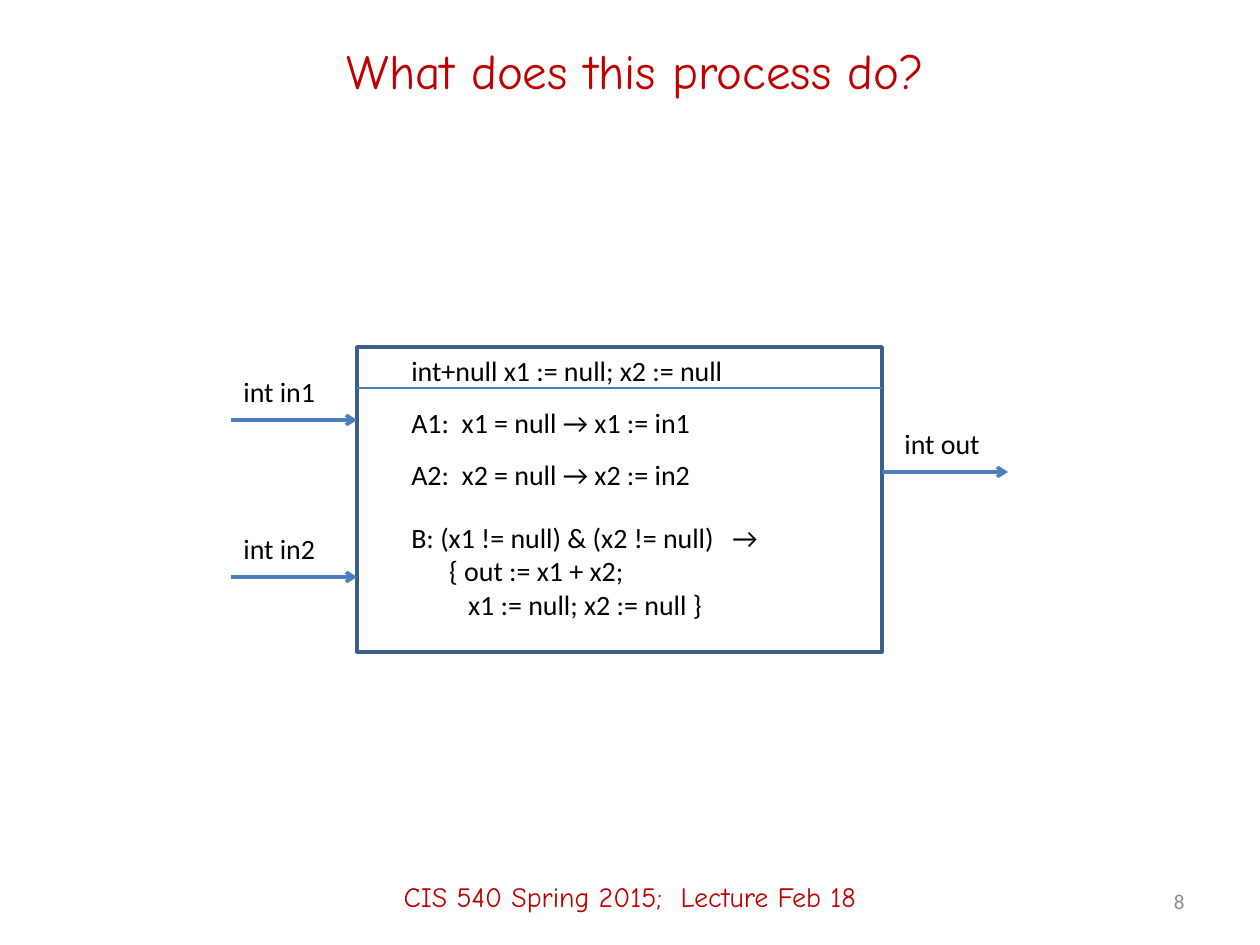
from pptx import Presentation, util as u
from pptx.dml.color import RGBColor
from pptx.enum import shapes, text
from pptx.oxml.ns import qn
from lxml import etree

RED = RGBColor(0xC0, 0x00, 0x00)
BLACK = RGBColor(0x00, 0x00, 0x00)
GREY = RGBColor(0x8C, 0x8C, 0x8C)
EDGE = RGBColor(0x3A, 0x5F, 0x8C)
BLUE = RGBColor(0x4B, 0x7E, 0xBC)

BODY = dict(name="Calibri", size=u.Pt(16))
TITLE = dict(name="Comic Neue", size=u.Pt(28))
FOOTER = dict(name="Comic Neue", size=u.Pt(16))
NUMBER = dict(name="Calibri", size=u.Pt(12))

BOX = dict(left=357, top=347, width=525, height=305)
STATE_Y = 388
ARROW = 126
LINE_H = 47
CODE_X = 399
CODE_W = 441

TITLE_TEXT = "What does this process do?"
FOOTER_TEXT = "CIS 540 Spring 2015;  Lecture Feb 18"
PAGE = "8"
INPUTS = [("int in1", 420), ("int in2", 577)]
OUTPUTS = [("int out", 472)]
CODE = [
    (347, ["int+null x1 := null; x2 := null"]),
    (399, ["A1:  x1 = null → x1 := in1"]),
    (451, ["A2:  x2 = null → x2 := in2"]),
    (514, ["B: (x1 != null) & (x2 != null)   →",
           "      { out := x1 + x2;",
           "         x1 := null; x2 := null }"]),
]


def px(*values):
    return [u.Emu(round(v * 914400 / 126)) for v in values]


def fill_text(sp, lines, fmt, color, align, anchor):
    tf = sp.text_frame
    tf.word_wrap = True
    tf.vertical_anchor = anchor
    for i, line in enumerate(lines):
        p = tf.paragraphs[0] if i == 0 else tf.add_paragraph()
        p.alignment = align
        r = p.add_run()
        r.text = line
        for key, value in fmt.items():
            setattr(r.font, key, value)
        r.font.color.rgb = color


def add_text(s, at, lines, fmt=BODY, color=BLACK, align=text.PP_ALIGN.LEFT,
             anchor=text.MSO_ANCHOR.TOP):
    fill_text(s.shapes.add_textbox(*px(*at)), lines, fmt, color, align, anchor)


def add_line(s, x1, x2, y, width=2, arrow=True):
    c = s.shapes.add_connector(shapes.MSO_CONNECTOR.STRAIGHT, *px(x1, y, x2, y))
    c.line.color.rgb = BLUE
    c.line.width = u.Pt(width)
    if arrow:
        etree.SubElement(c.line._get_or_add_ln(), qn("a:tailEnd"), type="arrow")
    etree.SubElement(c._element.spPr, qn("a:effectLst"))


def main():
    prs = Presentation()
    prs.slide_width, prs.slide_height = px(1260, 945)
    s = prs.slides.add_slide(prs.slide_layouts[5])

    title = s.shapes.title
    title.left, title.top, title.width, title.height = px(95, 21, 1081, 98)
    fill_text(title, [TITLE_TEXT], TITLE, RED, text.PP_ALIGN.CENTER,
              text.MSO_ANCHOR.MIDDLE)

    sp = s.shapes.add_shape(shapes.MSO_SHAPE.RECTANGLE, *px(*BOX.values()))
    sp.shadow.inherit = False
    sp.fill.background()
    sp.line.color.rgb = EDGE
    sp.line.width = u.Pt(2)

    left, right = BOX["left"], BOX["left"] + BOX["width"]
    add_line(s, left, right, STATE_Y, width=0.75, arrow=False)
    for ports, x, inset in ((INPUTS, left - ARROW, 0), (OUTPUTS, right, 10)):
        for name, y in ports:
            add_line(s, x, x + ARROW, y)
            add_text(s, (x + inset, y - 52, 102, LINE_H), [name])

    for y, lines in CODE:
        add_text(s, (CODE_X, y, CODE_W, 13 + 34 * len(lines)), lines)

    add_text(s, (0, 847, 1260, 98), [FOOTER_TEXT], FOOTER, RED,
             text.PP_ALIGN.CENTER, text.MSO_ANCHOR.MIDDLE)
    add_text(s, (903, 876, 294, 50), [PAGE], NUMBER, GREY,
             text.PP_ALIGN.RIGHT, text.MSO_ANCHOR.MIDDLE)
    prs.save("out.pptx")


if __name__ == "__main__":
    main()
